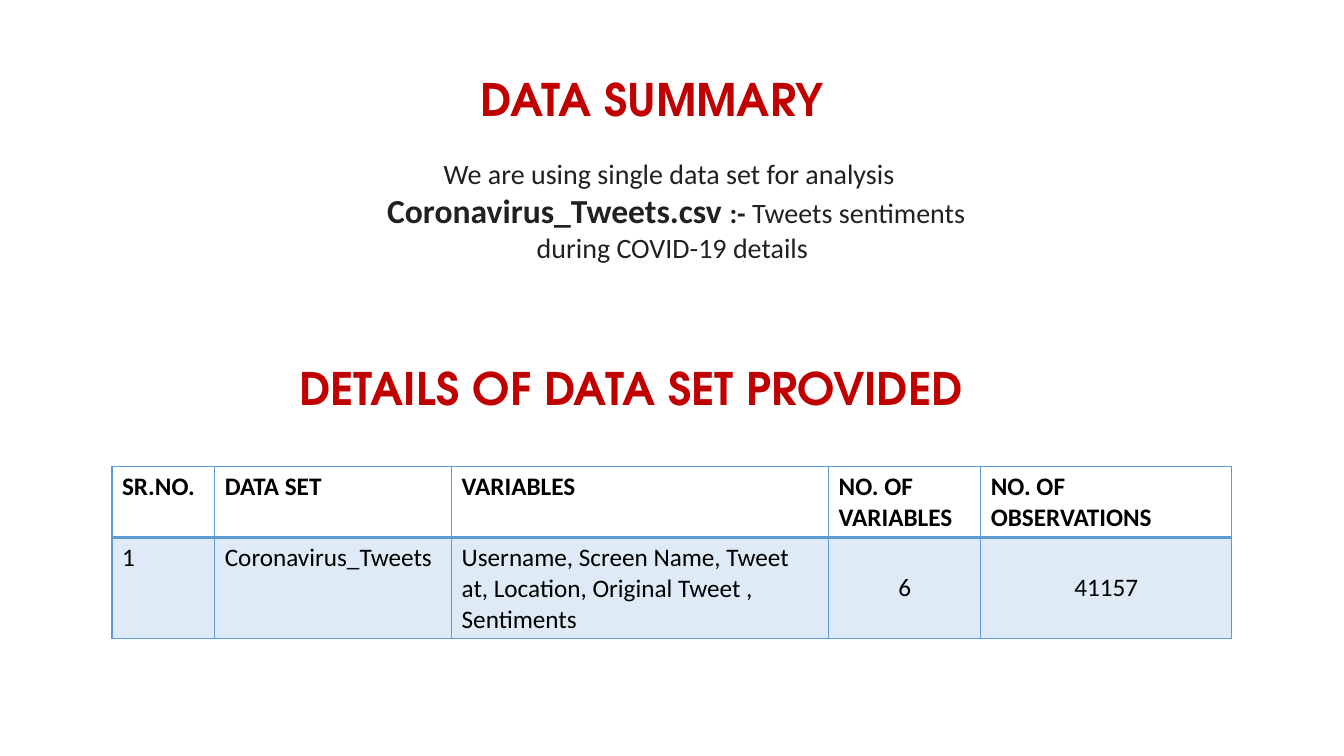
"""Build the data summary slide with its data set table."""
from lxml import etree
from pptx import Presentation
from pptx import util as u
from pptx.dml.color import RGBColor
from pptx.enum import text
from pptx.oxml import ns

RED = RGBColor(0xC0, 0x00, 0x00)
INK = RGBColor(0x21, 0x21, 0x21)
BLACK = RGBColor(0x00, 0x00, 0x00)
BLUE = RGBColor(0x5B, 0x9B, 0xD5)

HEADING = {"size": u.Pt(32), "name": "TeX Gyre Adventor", "bold": True}
BODY = {"size": u.Pt(20), "name": "Calibri", "bold": False}
FILE_NAME = {**BODY, "size": u.Pt(24), "bold": True}
CELL = {**BODY, "size": u.Pt(18)}
HEADER = {**CELL, "bold": True}
FRAME = {
    "word_wrap": True,
    "auto_size": text.MSO_AUTO_SIZE.SHAPE_TO_FIT_TEXT,
    "vertical_anchor": text.MSO_ANCHOR.TOP,
}


def apply(target, values):
    for name, value in values.items():
        setattr(target, name, value)


class SummarySlide:
    def __init__(self, deck):
        self.slide = deck.slides.add_slide(deck.slide_layouts[5])

    def add_runs(self, paragraph, runs, color, align):
        paragraph.alignment = align
        for words, style in runs:
            run = paragraph.add_run()
            run.text = words
            apply(run.font, style)
            run.font.color.rgb = color

    def fill_frame(self, frame, paragraphs, color, align):
        apply(frame, FRAME)
        for index, runs in enumerate(paragraphs):
            paragraph = frame.add_paragraph() if index else frame.paragraphs[0]
            self.add_runs(paragraph, runs, color, align)

    def title(self, words, left, top, width, height):
        heading = self.slide.shapes.title
        box = dict(left=left, top=top, width=width, height=height)
        apply(heading, {side: u.Pt(length) for side, length in box.items()})
        self.fill_frame(heading.text_frame, [[(words, HEADING)]], RED, text.PP_ALIGN.LEFT)

    def text_box(self, paragraphs, box, color, align=text.PP_ALIGN.LEFT):
        block = self.slide.shapes.add_textbox(*map(u.Pt, box))
        self.fill_frame(block.text_frame, paragraphs, color, align)

    def border(self, cell, bottom):
        properties = cell._tc.get_or_add_tcPr()
        for side, weight in zip("LRTB", (1, 1, 1, bottom)):
            line = etree.SubElement(properties, ns.qn(f"a:ln{side}"), w=str(u.Pt(weight)))
            paint = etree.SubElement(line, ns.qn("a:solidFill"))
            etree.SubElement(paint, ns.qn("a:srgbClr"), val=str(BLUE))

    def tint(self, cell):
        cell.fill.solid()
        cell.fill.fore_color.rgb = BLUE
        paint = cell._tc.tcPr.find(ns.qn("a:solidFill"))
        etree.SubElement(paint[0], ns.qn("a:alpha"), val="20000")

    def table(self, rows, left, top, widths, heights, numeric):
        size = (sum(widths), sum(heights))
        grid = self.slide.shapes.add_table(
            len(rows), len(widths), *map(u.Pt, (left, top, *size))).table
        apply(grid, {"first_row": False, "horz_banding": False})
        for column, width in zip(grid.columns, widths):
            column.width = u.Pt(width)
        for row, height in zip(grid.rows, heights):
            row.height = u.Pt(height)
        for r, values in enumerate(rows):
            for c, words in enumerate(values):
                cell = grid.cell(r, c)
                centred = r > 0 and c in numeric
                align = text.PP_ALIGN.CENTER if centred else text.PP_ALIGN.LEFT
                style = CELL if r else HEADER
                self.add_runs(cell.text_frame.paragraphs[0], [(words, style)], BLACK, align)
                if centred:
                    cell.vertical_anchor = text.MSO_ANCHOR.MIDDLE
                self.border(cell, 1 if r else 2)
                if r:
                    self.tint(cell)
                else:
                    cell.fill.background()


def main():
    deck = Presentation()
    apply(deck, {"slide_width": u.Pt(960), "slide_height": u.Pt(540)})
    summary = SummarySlide(deck)
    summary.title("DATA SUMMARY", 336, 47.5, 288, 46)
    summary.text_box([
        [("We are using single data set for analysis ", BODY)],
        [(" Coronavirus_Tweets.csv ", FILE_NAME),
         (":-", {**BODY, "bold": True}),
         (" Tweets sentiments during COVID-19 details", BODY)],
    ], (262, 108, 436.5, 85), INK, text.PP_ALIGN.CENTER)
    summary.text_box([[("DETAILS OF DATA SET PROVIDED", HEADING)]],
                     (206.5, 254, 546.5, 46), RED)
    summary.table([
        ("SR.NO.", "DATA SET", "VARIABLES", "NO. OF VARIABLES", "NO. OF OBSERVATIONS"),
        ("1", "Coronavirus_Tweets",
         "Username, Screen Name, Tweet at, Location, Original Tweet , Sentiments",
         "6", "41157"),
    ], 80, 333.5, (73.4, 169.2, 269.3, 108.7, 179.3), (50.5, 72), numeric=(3, 4))
    deck.save("out.pptx")


if __name__ == "__main__":
    main()
